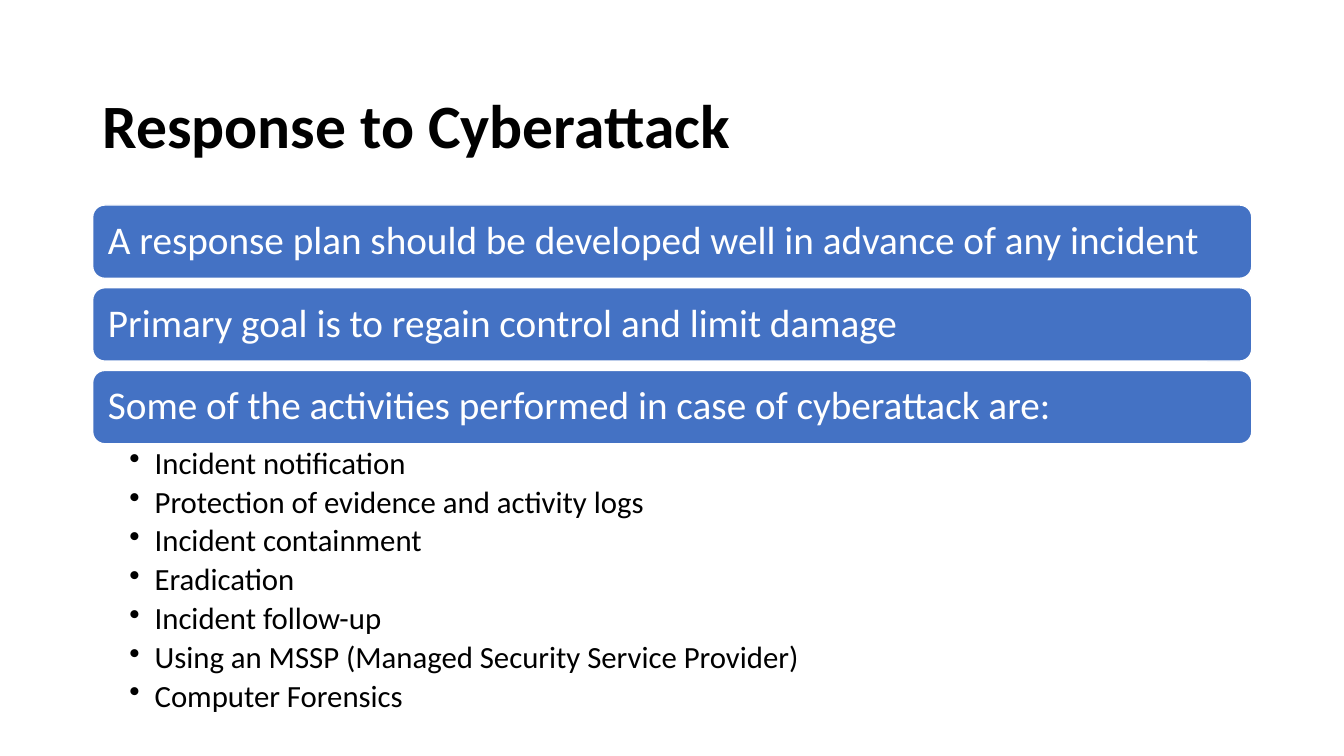
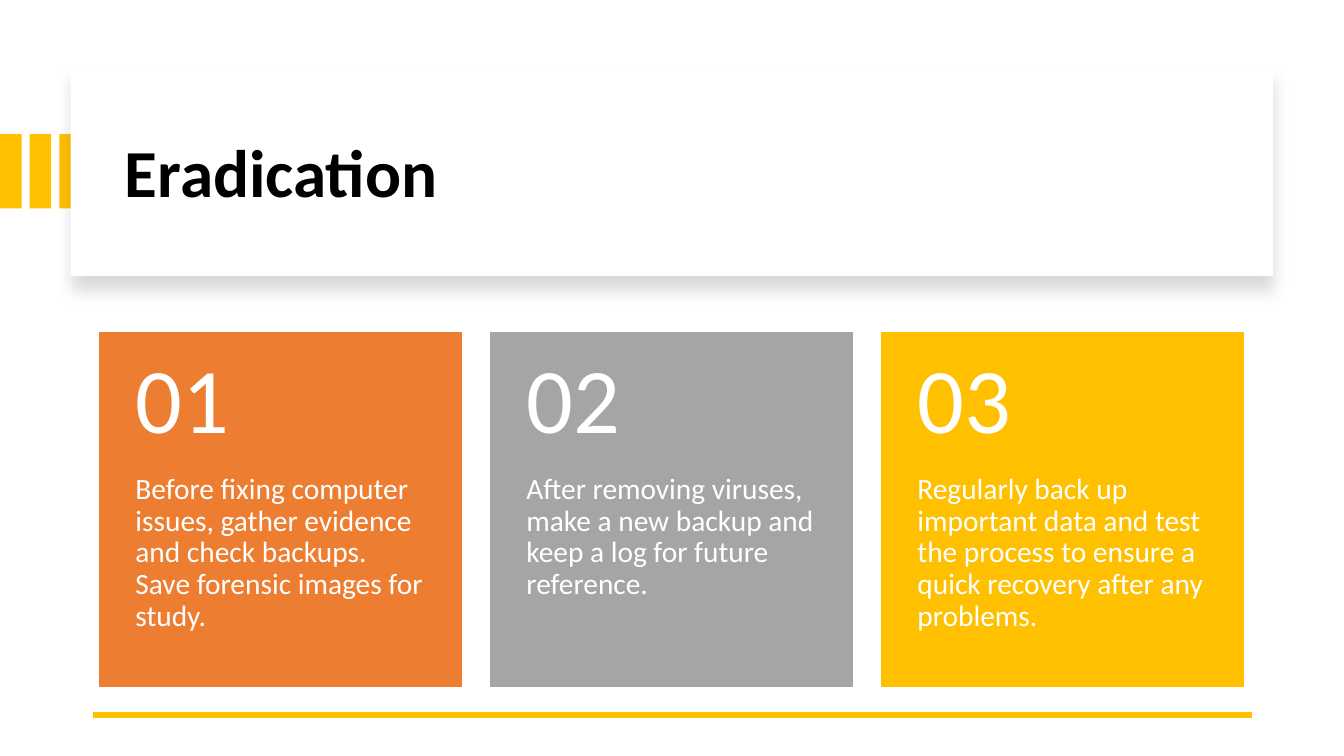
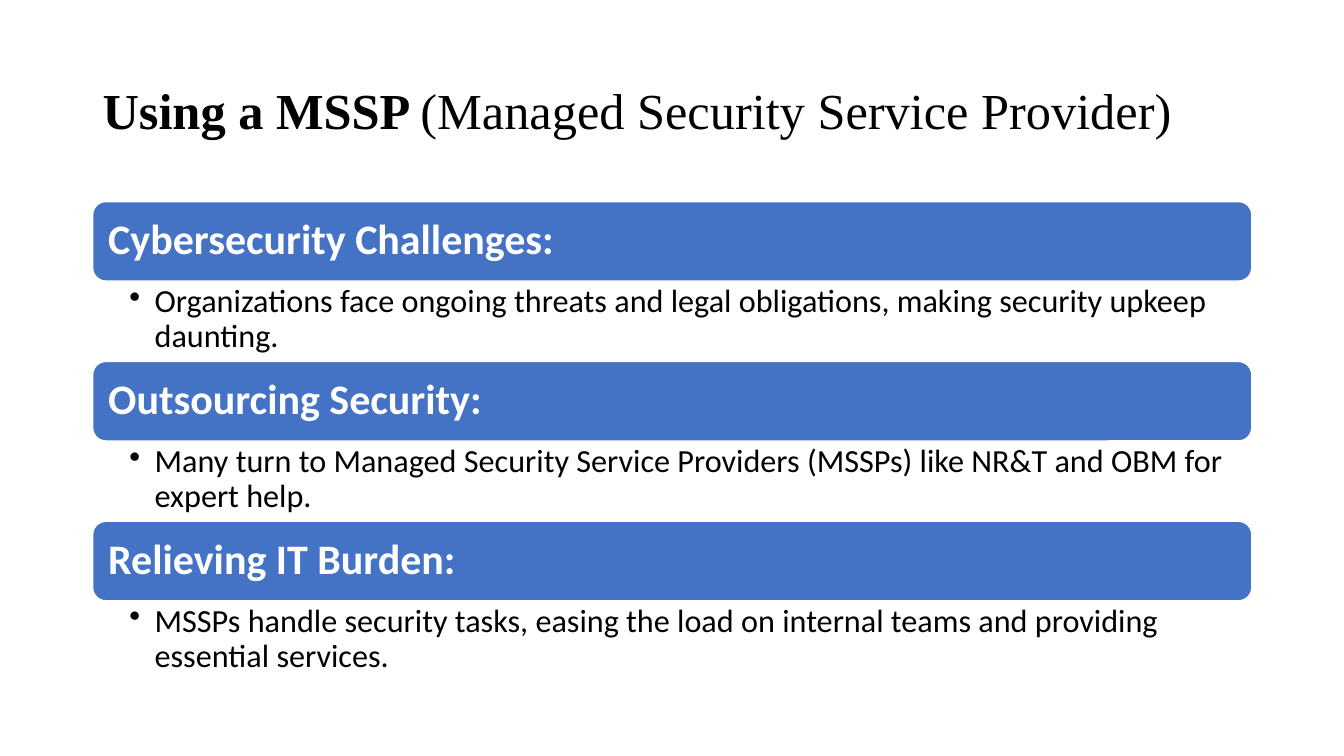
from lxml import etree
from pptx import Presentation
from pptx.dml.color import RGBColor
from pptx.enum.shapes import MSO_CONNECTOR, MSO_SHAPE
from pptx.enum.text import MSO_ANCHOR, PP_ALIGN
from pptx.oxml.ns import qn
from pptx.util import Pt

RECT, ROUND = MSO_SHAPE.RECTANGLE, MSO_SHAPE.ROUNDED_RECTANGLE
STRAIGHT = MSO_CONNECTOR.STRAIGHT
TOP, MIDDLE = MSO_ANCHOR.TOP, MSO_ANCHOR.MIDDLE
LEFT = PP_ALIGN.LEFT

BLACK, WHITE, BLUE = "000000", "FFFFFF", "4472C4"
GOLD, ORANGE, GRAY = "FFC000", "ED7D31", "A5A5A5"
SANS, SERIF = "Calibri", "Times New Roman"
MARGIN, CONTENT_W = 66.2, 828

RESPONSE_SECTIONS = [
    ("A response plan should be developed well in advance of any incident", []),
    ("Primary goal is to regain control and limit damage", []),
    ("Some of the activities performed in case of cyberattack are:", [
        "Incident notification",
        "Protection of evidence and activity logs",
        "Incident containment",
        "Eradication",
        "Incident follow-up",
        "Using an MSSP (Managed Security Service Provider)",
        "Computer Forensics",
    ]),
]
ERADICATION_STEPS = [
    (ORANGE, "Before fixing computer issues, gather evidence and check backups. "
             "Save forensic images for study."),
    (GRAY, "After removing viruses, make a new backup and keep a log for future reference."),
    (GOLD, "Regularly back up important data and test the process to ensure "
           "a quick recovery after any problems."),
]
MSSP_TITLE = [("Using a MSSP ", True), ("(Managed Security Service Provider)", False)]
MSSP_SECTIONS = [
    ("Cybersecurity Challenges:", [
        "Organizations face ongoing threats and legal obligations, "
        "making security upkeep daunting."]),
    ("Outsourcing Security:", [
        "Many turn to Managed Security Service Providers (MSSPs) "
        "like NR&T and OBM for expert help."]),
    ("Relieving IT Burden:", [
        "MSSPs handle security tasks, easing the load on internal teams "
        "and providing essential services."]),
]


def rgb(value):
    return RGBColor.from_string(value)


def put_text(sp, paragraphs, size, color=BLACK, font=SANS, bold=False, anchor=MIDDLE,
             insets=(7.2, 3.6, 7.2, 3.6), after=0, bullet=False):
    tf = sp.text_frame
    tf.word_wrap = True
    tf.vertical_anchor = anchor
    tf.margin_left, tf.margin_top, tf.margin_right, tf.margin_bottom = map(Pt, insets)
    for i, runs in enumerate(paragraphs):
        p = tf.add_paragraph() if i else tf.paragraphs[0]
        p.alignment = LEFT
        p.line_spacing = 0.9
        p.space_after = Pt(after)
        if bullet:
            pPr = p._p.get_or_add_pPr()
            pPr.set("marL", str(Pt(18)))
            pPr.set("indent", str(Pt(-18)))
            etree.SubElement(pPr, qn("a:buChar"), char="•")
        for text, is_bold in [(runs, bold)] if isinstance(runs, str) else runs:
            r = p.add_run()
            r.text = text
            r.font.size = Pt(size)
            r.font.name = font
            r.font.bold = is_bold
            r.font.color.rgb = rgb(color)


def add_text(s, box, paragraphs, size, **fmt):
    put_text(s.shapes.add_textbox(*map(Pt, box)), paragraphs, size, **fmt)


def add_box(s, kind, box, fill, line=None):
    sp = s.shapes.add_shape(kind, *map(Pt, box))
    sp.shadow.inherit = False
    sp.fill.solid()
    sp.fill.fore_color.rgb = rgb(fill)
    if line:
        sp.line.color.rgb = rgb(line)
        sp.line.width = Pt(1)
    else:
        sp.line.fill.background()
    return sp


def add_drop_shadow(sp):
    effects = sp._element.spPr.find(qn("a:effectLst"))
    shadow = etree.SubElement(effects, qn("a:outerShdw"), blurRad=str(Pt(11)),
                              dist=str(Pt(10)), dir="5400000", algn="t", rotWithShape="0")
    color = etree.SubElement(shadow, qn("a:srgbClr"), val=BLACK)
    etree.SubElement(color, qn("a:alpha"), val="15000")


def add_rule(s, x1, x2, y):
    line = s.shapes.add_connector(STRAIGHT, Pt(x1), Pt(y), Pt(x2), Pt(y))
    line.line.color.rgb = rgb(GOLD)
    line.line.width = Pt(4.5)
    etree.SubElement(line._element.spPr, qn("a:effectLst"))


def add_sections(s, sections, top, bar_h, gap, detail_h, size, detail_size, bold=False):
    y = top
    for heading, details in sections:
        bar = add_box(s, ROUND, (MARGIN, y, CONTENT_W, bar_h), BLUE, WHITE)
        put_text(bar, [heading], size, color=WHITE, bold=bold, insets=(8.4, 6, 8.4, 6))
        y += bar_h
        if details:
            add_text(s, (MARGIN, y, CONTENT_W, detail_h), details, detail_size, anchor=TOP,
                     insets=(26.3, 2.8, 16, 2.8), after=4, bullet=True)
            y += detail_h
        else:
            y += gap


def add_response_slide(s):
    add_text(s, (MARGIN, 39.6, CONTENT_W, 104.4), ["Response to Cyberattack"], 44, bold=True)
    add_sections(s, RESPONSE_SECTIONS, top=146.4, bar_h=52.4, gap=6.7, detail_h=210,
                 size=28, detail_size=22)


def add_eradication_slide(s):
    for i in range(3):
        add_box(s, RECT, (i * 21.2, 95.8, 15.4, 53), GOLD)
    add_drop_shadow(add_box(s, RECT, (50.5, 48.2, 859, 149), WHITE))
    add_text(s, (82.2, 64, 801, 122.4), ["Eradication"], 48, bold=True)
    add_rule(s, MARGIN + CONTENT_W, MARGIN, 510.5)

    card_w, gap, top, number_h = 258.5, 20.8, 237.6, 101
    for i, (color, step) in enumerate(ERADICATION_STEPS):
        x = 71.2 + i * (card_w + gap)
        card = add_box(s, RECT, (x, top, card_w, 252.7), color, color)
        put_text(card, [step], 21, color=WHITE, anchor=TOP, insets=(25.5, number_h, 25.5, 25.5))
        add_text(s, (x, top, card_w, number_h), [f"{i + 1:02}"], 66, color=WHITE,
                 insets=(25.5, 13, 25.5, 13))


def add_mssp_slide(s):
    add_text(s, (MARGIN, 28.8, CONTENT_W, 104.4), [MSSP_TITLE], 36, font=SERIF)
    add_sections(s, MSSP_SECTIONS, top=144, bar_h=56.8, gap=0, detail_h=57.4,
                 size=30, detail_size=23, bold=True)


def main():
    prs = Presentation()
    prs.slide_width, prs.slide_height = Pt(960), Pt(540)
    for build in (add_response_slide, add_eradication_slide, add_mssp_slide):
        build(prs.slides.add_slide(prs.slide_layouts[6]))
    prs.save("out.pptx")


if __name__ == "__main__":
    main()
